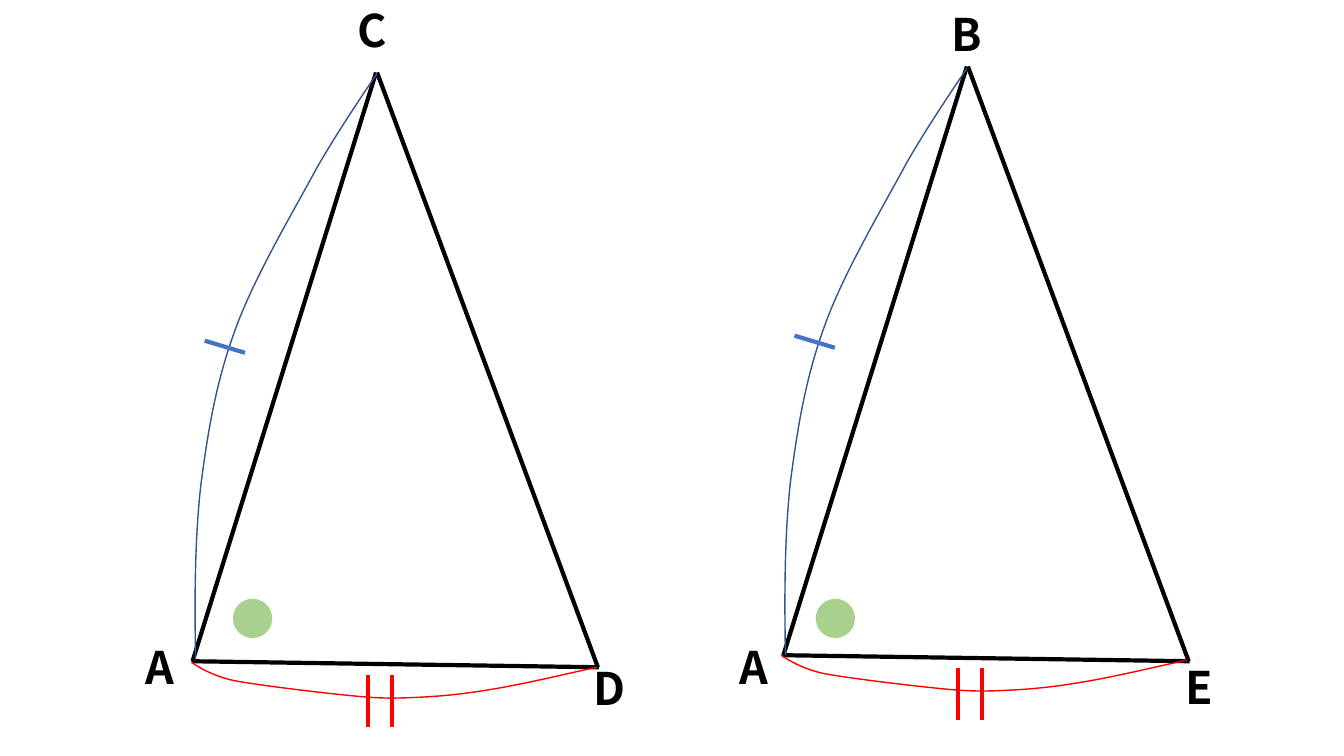
import pptx
import pptx.util
import pptx.dml.color
import pptx.enum.shapes
import pptx.enum.text
import pptx.oxml.ns
import lxml.etree

Inches = pptx.util.Inches
Pt = pptx.util.Pt
RGBColor = pptx.dml.color.RGBColor
qn = pptx.oxml.ns.qn

BLACK = RGBColor(0x00, 0x00, 0x00)
RED = RGBColor(0xFF, 0x00, 0x00)
BLUE = RGBColor(0x44, 0x72, 0xC4)
DARK_BLUE = RGBColor(0x32, 0x54, 0x91)
GREEN = RGBColor(0xA9, 0xD1, 0x8E)

# The left figure; the right one repeats it, moved by the offsets below.
SIDES = [((1.9, 6.56), (5.94, 6.62)),
         ((3.73, 0.72), (1.91, 6.56)),
         ((3.74, 0.72), (5.93, 6.62))]
# Curves: a start point, then three points for each cubic piece.
BASE_ARC = [(5.92, 6.62),
            (5.55, 6.7), (5.18, 6.79), (4.87, 6.84),
            (4.57, 6.89), (4.35, 6.91), (4.11, 6.92),
            (3.88, 6.93), (3.76, 6.93), (3.46, 6.9),
            (3.16, 6.87), (2.57, 6.8), (2.31, 6.75),
            (2.05, 6.69), (1.9, 6.57), (1.9, 6.57)]
SIDE_ARC = [(1.94, 6.55),
            (1.93, 5.96), (1.93, 5.38), (1.99, 4.83),
            (2.06, 4.29), (2.14, 3.8), (2.33, 3.28),
            (2.52, 2.75), (2.91, 2.1), (3.14, 1.67),
            (3.38, 1.25), (3.74, 0.73), (3.74, 0.73)]
BASE_TICKS = [((x, 6.7), (x, 7.21)) for x in (3.89, 3.65)]
SIDE_TICK = ((2.03, 3.38), (2.43, 3.5))

SIDES_OFFSETS = [(0, 0), (5.86, -0.06)]
BASE_OFFSETS = [(0, 0), (5.85, -0.07)]
SIDE_OFFSETS = [(0, 0), (5.85, -0.05)]
LABELS = [("A", 1.34, 6.3, 0.69), ("D", 5.79, 6.51, 0.88),
          ("C", 3.45, -0.02, 0.59), ("A", 7.24, 6.3, 0.69),
          ("B", 9.34, 0.02, 0.88), ("E", 11.66, 6.5, 0.88)]
DOT_LEFTS = [2.31, 8.09]


def shift(points, offset):
    """Move every point by the offset."""
    dx, dy = offset
    return [(x + dx, y + dy) for x, y in points]


class Sketch:
    """Draws geometry elements in one style on the current slide."""

    font = "Noto Sans CJK JP"
    label_size = Pt(32)
    thick = Pt(3)
    thin = Pt(1)

    def __init__(self, s):
        """Keep the current slide."""
        self.s = s

    def segment(self, ends, color, group=None):
        """Draw a thick straight line, in a group if one is given."""
        (x1, y1), (x2, y2) = ends
        line = (group or self.s).shapes.add_connector(
            pptx.enum.shapes.MSO_CONNECTOR.STRAIGHT,
            Inches(x1), Inches(y1), Inches(x2), Inches(y2))
        line.line.color.rgb = color
        line.line.width = self.thick
        lxml.etree.SubElement(line._element.spPr, qn("a:effectLst"))

    def arc(self, points, color, group):
        """Draw a thin open curve of cubic pieces."""
        start, *rest = [(Inches(x), Inches(y)) for x, y in points]
        builder = group.shapes.build_freeform(*start)
        builder.add_line_segments(rest, close=False)
        sp = builder.convert_to_shape()
        corners = list(sp._element.iter(qn("a:lnTo")))
        for i in range(0, len(corners), 3):
            cubic = lxml.etree.Element(qn("a:cubicBezTo"))
            corners[i].addprevious(cubic)
            for corner in corners[i:i + 3]:
                cubic.append(corner[0])
                corner.getparent().remove(corner)
        sp.shadow.inherit = False
        sp.fill.background()
        sp.line.color.rgb = color
        sp.line.width = self.thin

    def base_mark(self, offset):
        """Mark the base with a curve and two ticks."""
        group = self.s.shapes.add_group_shape()
        for tick in BASE_TICKS:
            self.segment(shift(tick, offset), RED, group)
        self.arc(shift(BASE_ARC, offset), RED, group)

    def side_mark(self, offset):
        """Mark the left side with a curve and one tick."""
        group = self.s.shapes.add_group_shape()
        self.arc(shift(SIDE_ARC, offset), DARK_BLUE, group)
        self.segment(shift(SIDE_TICK, offset), BLUE, group)

    def dot(self, x, y=5.94, size=0.39):
        """Draw an angle mark."""
        sp = self.s.shapes.add_shape(
            pptx.enum.shapes.MSO_SHAPE.OVAL,
            Inches(x), Inches(y), Inches(size), Inches(size))
        sp.shadow.inherit = False
        sp.fill.solid()
        sp.fill.fore_color.rgb = GREEN
        sp.line.fill.background()

    def label(self, text, x, y, width):
        """Write the name of a vertex."""
        sp = self.s.shapes.add_textbox(Inches(x), Inches(y),
                                       Inches(width), Inches(0.64))
        tf = sp.text_frame
        tf.word_wrap = True
        tf.auto_size = pptx.enum.text.MSO_AUTO_SIZE.SHAPE_TO_FIT_TEXT
        p = tf.paragraphs[0]
        p.text = text
        p.font.name = self.font
        p.font.size = self.label_size
        p.font.bold = True
        p.font.color.rgb = BLACK


def main():
    """Build the slide with both triangles."""
    prs = pptx.Presentation()
    prs.slide_width = Inches(13.33)
    prs.slide_height = Inches(7.5)
    sketch = Sketch(prs.slides.add_slide(prs.slide_layouts[6]))
    for offset in SIDES_OFFSETS:
        for side in SIDES:
            sketch.segment(shift(side, offset), BLACK)
    for label in LABELS:
        sketch.label(*label)
    for offset in BASE_OFFSETS:
        sketch.base_mark(offset)
    for offset in SIDE_OFFSETS:
        sketch.side_mark(offset)
    for left in DOT_LEFTS:
        sketch.dot(left)
    prs.save("out.pptx")


main()
